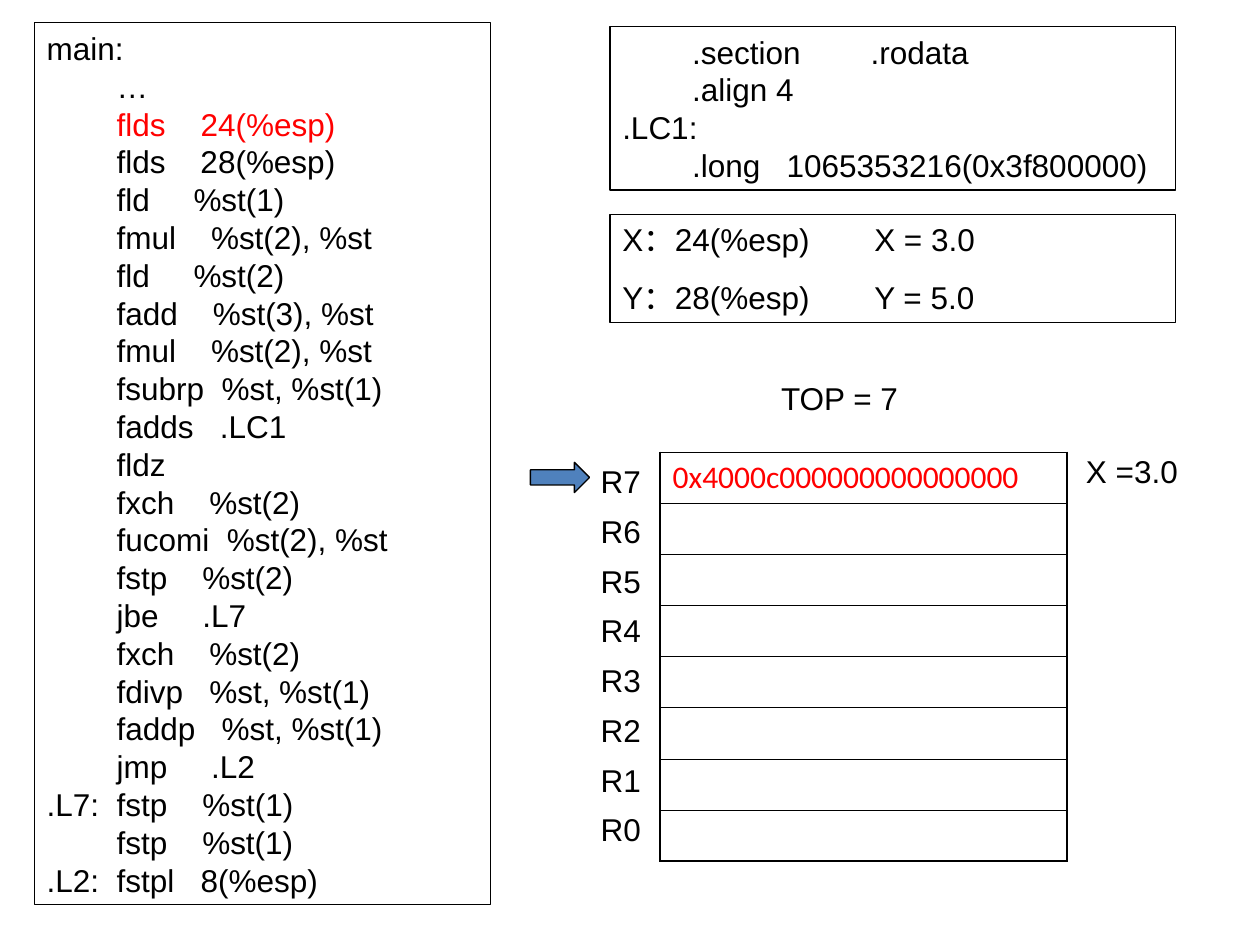
"""Build the slide showing x87 assembly code beside its register stack."""
from dataclasses import dataclass

import pptx
import pptx.dml.color
import pptx.enum.shapes
import pptx.enum.text
import pptx.oxml
import pptx.oxml.ns
import pptx.util

Pt = pptx.util.Pt
COLORS = {"ink": "000000", "active": "FF0000", "arrow": "4F81BD"}
LINE_HEIGHT = 21.6
REGISTER_COUNT = 8
ROW_HEIGHT = 29
LABEL_STEP = 28.4
ACTIVE_LINE = "flds    24(%esp)"

MAIN_CODE = """main:
        …
        flds    24(%esp)
        flds    28(%esp)
        fld     %st(1)
        fmul    %st(2), %st
        fld     %st(2)
        fadd    %st(3), %st
        fmul    %st(2), %st
        fsubrp  %st, %st(1)
        fadds   .LC1
        fldz
        fxch    %st(2)
        fucomi  %st(2), %st
        fstp    %st(2)
        jbe     .L7
        fxch    %st(2)
        fdivp   %st, %st(1)
        faddp   %st, %st(1)
        jmp     .L2
.L7:  fstp    %st(1)
        fstp    %st(1)
.L2:  fstpl   8(%esp)"""

DATA_CODE = """        .section        .rodata
        .align 4
.LC1:
        .long   1065353216(0x3f800000)"""


@dataclass(frozen=True)
class Area:
    """A rectangle on the page, in points."""
    left: float
    top: float
    width: float
    height: float

    def lengths(self) -> tuple:
        """Return the four lengths for python-pptx."""
        return Pt(self.left), Pt(self.top), Pt(self.width), Pt(self.height)


@dataclass(frozen=True)
class TextItem:
    """A text and where it stands."""
    text: str
    area: Area
    framed: bool = False
    inset: bool = True
    gap: float = 0
    tab: float = 0


ITEMS = [
    TextItem(MAIN_CODE, Area(19.6, 13, 260.6, 504), framed=True),
    TextItem("TOP = 7", Area(439.2, 213.1, 85, 28.8)),
    TextItem(DATA_CODE, Area(348.5, 15.1, 323.3, 93.6), framed=True),
    TextItem("X =3.0", Area(620.6, 258.5, 61.9, LINE_HEIGHT), inset=False),
    TextItem("X：24(%esp)\tX = 3.0\nY：28(%esp)\tY = 5.0",
             Area(348.5, 122.4, 323.3, 61.9), framed=True, gap=11.2, tab=144),
]


def rgb(name: str) -> pptx.dml.color.RGBColor:
    """Return a named colour."""
    return pptx.dml.color.RGBColor.from_string(COLORS[name])


def add_span(para, text: str, *, color: str = "ink", font: str = "Arial", size: float = 18) -> None:
    """Add formatted text to a paragraph."""
    span = para.add_run()
    span.text = text
    span.font.name = font
    span.font.size = Pt(size)
    span.font.color.rgb = rgb(color)


def add_tab(para, position: float) -> None:
    """Add a left tab stop to a paragraph."""
    para._p.get_or_add_pPr().append(pptx.oxml.parse_xml(
        f'<a:tabLst {pptx.oxml.ns.nsdecls("a")}><a:tab pos="{Pt(position)}" algn="l"/></a:tabLst>'))


def style_shape(shape) -> None:
    """Give a shape a thin outline and no shadow."""
    shape.shadow.inherit = False
    shape.line.color.rgb = rgb("ink")
    shape.line.width = Pt(0.75)


def add_text(page, item: TextItem) -> None:
    """Draw a text item, framed or plain."""
    if item.framed:
        box = page.shapes.add_shape(pptx.enum.shapes.MSO_SHAPE.RECTANGLE, *item.area.lengths())
        box.fill.background()
        style_shape(box)
    else:
        box = page.shapes.add_textbox(*item.area.lengths())
    frame = box.text_frame
    frame.word_wrap = True
    frame.vertical_anchor = pptx.enum.text.MSO_ANCHOR.TOP
    frame.margin_left = frame.margin_right = Pt(7.2 if item.inset else 0)
    frame.margin_top = frame.margin_bottom = Pt(3.6 if item.inset else 0)
    for index, line in enumerate(item.text.split("\n")):
        para = frame.add_paragraph() if index else frame.paragraphs[0]
        para.alignment = pptx.enum.text.PP_ALIGN.LEFT
        para.line_spacing = Pt(LINE_HEIGHT)
        if index and item.gap:
            para.space_before = Pt(item.gap)
        if item.tab:
            add_tab(para, item.tab)
        before, active, after = line.partition(ACTIVE_LINE)
        for text, color in ((before, "ink"), (active, "active"), (after, "ink")):
            if text:
                add_span(para, text, color=color)


def add_border(cell, side: str, width: float) -> None:
    """Draw one border of a cell."""
    cell._tc.get_or_add_tcPr().append(pptx.oxml.parse_xml(
        f'<a:{side} {pptx.oxml.ns.nsdecls("a")} w="{Pt(width)}"><a:solidFill>'
        f'<a:srgbClr val="{COLORS["ink"]}"/></a:solidFill></a:{side}>'))


def add_registers(page, area: Area) -> None:
    """Draw the register stack as a one-column table."""
    table = page.shapes.add_table(REGISTER_COUNT, 1, *area.lengths()).table
    table.first_row = table.horz_banding = False
    thick, thin = 1.08, 0.45
    last = REGISTER_COUNT - 1
    for index, row in enumerate(table.rows):
        row.height = Pt(ROW_HEIGHT)
        cell = row.cells[0]
        add_border(cell, "lnL", thick)
        add_border(cell, "lnR", thick)
        add_border(cell, "lnT", thin if index else thick)
        add_border(cell, "lnB", thick if index == last else thin)
        cell.fill.background()
    add_span(table.cell(0, 0).text_frame.paragraphs[0], "0x4000c000000000000000",
             color="active", font="Calibri")


def add_arrow(page, area: Area) -> None:
    """Draw the arrow marking the top register."""
    arrow = page.shapes.add_shape(pptx.enum.shapes.MSO_SHAPE.RIGHT_ARROW, *area.lengths())
    arrow.fill.solid()
    arrow.fill.fore_color.rgb = rgb("arrow")
    style_shape(arrow)


def main() -> None:
    """Build and save the deck."""
    deck = pptx.Presentation()
    deck.slide_width, deck.slide_height = Pt(720), Pt(540)
    page = deck.slides.add_slide(deck.slide_layouts[6])
    add_registers(page, Area(377.2, 258.5, 232.5, ROW_HEIGHT * REGISTER_COUNT))
    add_arrow(page, Area(303.1, 264.2, 33.8, 17.3))
    labels = [TextItem(f"R{REGISTER_COUNT - 1 - index}",
                       Area(343.2, 264.2 + index * LABEL_STEP, 28.1, LINE_HEIGHT), inset=False)
              for index in range(REGISTER_COUNT)]
    for item in ITEMS + labels:
        add_text(page, item)
    deck.save("out.pptx")


if __name__ == "__main__":
    main()
